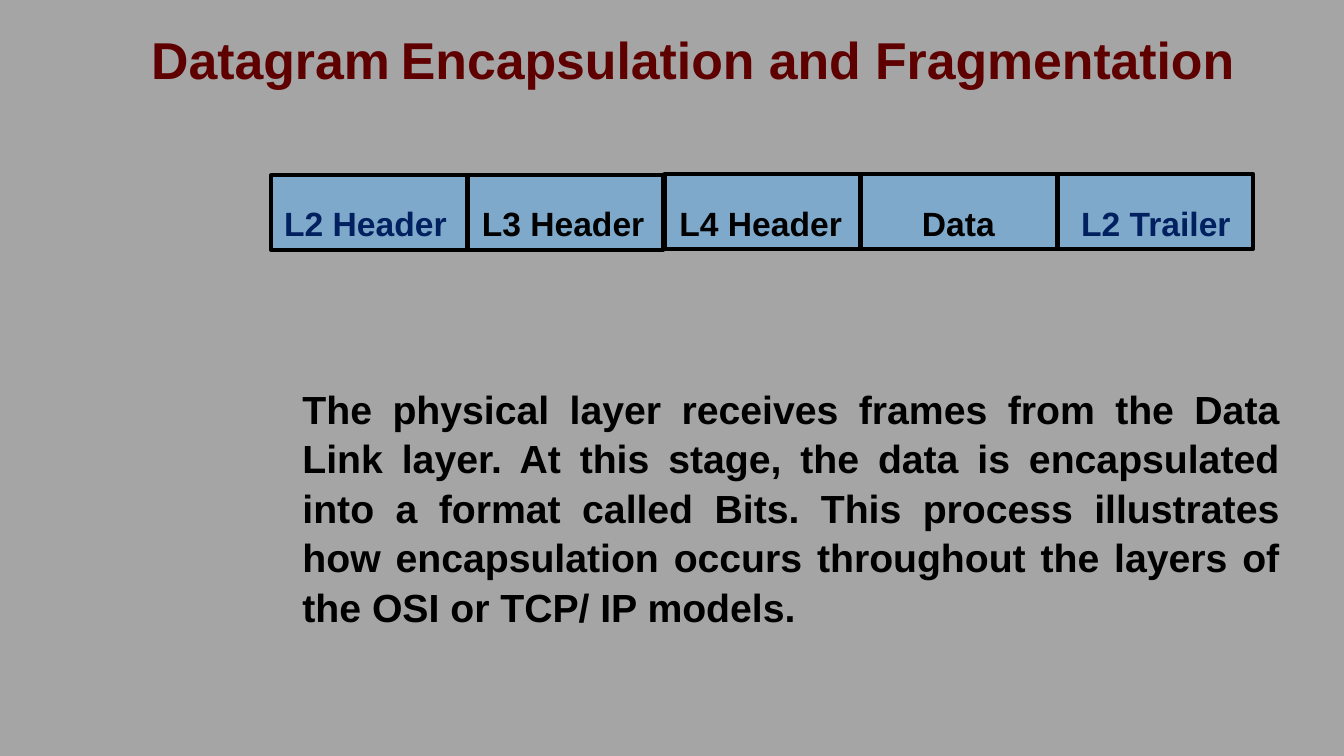
from pptx import Presentation
from pptx.dml.color import RGBColor
from pptx.enum.shapes import MSO_SHAPE
from pptx.enum.text import MSO_ANCHOR, MSO_AUTO_SIZE, PP_ALIGN
from pptx.oxml.ns import qn
from pptx.util import Pt

RECTANGLE = MSO_SHAPE.RECTANGLE
TOP, BOTTOM = MSO_ANCHOR.TOP, MSO_ANCHOR.BOTTOM
NO_FIT = MSO_AUTO_SIZE.NONE
LEFT, CENTER, JUSTIFY = PP_ALIGN.LEFT, PP_ALIGN.CENTER, PP_ALIGN.JUSTIFY

EMU_PER_PX = 9144  # 100 px to the inch
COLORS = {
    "background": "A5A5A5",
    "title": "5F0000",
    "title_gap": "3F3F3F",
    "field": "7EA9CA",
    "black": "000000",
    "link_layer": "002060",
}
FRAME_FIELDS = [
    ("L2 Header", "link_layer"),
    ("L3 Header", "black"),
    ("L4 Header", "black"),
    ("Data", "black"),
    ("L2 Trailer", "link_layer"),
]
EXPLANATION = (
    "The physical layer receives frames from the Data Link layer. "
    "At this stage, the data is encapsulated into a format called Bits. "
    "This process illustrates how encapsulation occurs throughout the "
    "layers of the OSI or TCP/ IP models."
)


def px(length):
    return length * EMU_PER_PX


def rgb(name):
    return RGBColor.from_string(COLORS[name])


def place(shape, left, top, width, height):
    shape.left, shape.top = px(left), px(top)
    shape.width, shape.height = px(width), px(height)


def add_text(paragraph, text, size=24, color="black", bold=True, font="Arial"):
    run = paragraph.add_run()
    run.text = text
    run.font.name = font
    run.font.size = Pt(size)
    run.font.bold = bold
    run.font.color.rgb = rgb(color)


def first_paragraph(shape, align, anchor=TOP, spacing=1.0, wrap=True):
    frame = shape.text_frame
    frame.auto_size = NO_FIT
    frame.word_wrap = wrap
    frame.vertical_anchor = anchor
    paragraph = frame.paragraphs[0]
    paragraph.alignment = align
    paragraph.line_spacing = spacing
    paragraph.space_before = Pt(0)
    return paragraph


def fill_title(title):
    place(title, 140, 0, 1181, 94)
    heading = first_paragraph(title, LEFT, BOTTOM, spacing=0.85)
    add_text(heading, "Datagram", size=37, color="title")
    add_text(heading, " ", size=31.4, color="title_gap", bold=False,
             font="Times New Roman")
    add_text(heading, "Encapsulation and Fragmentation", size=37, color="title")


def fill_explanation(body):
    place(body, 290, 375, 989, 246)
    explanation = first_paragraph(body, JUSTIFY, spacing=1.05)
    # Plain paragraph: no bullet and no hanging indent
    properties = explanation._p.get_or_add_pPr()
    properties.set("marL", "0")
    properties.set("indent", "0")
    properties.append(properties.makeelement(qn("a:buNone"), {}))
    add_text(explanation, EXPLANATION, size=28)


def add_field(slide, left, top):
    field = slide.shapes.add_shape(RECTANGLE, px(left), px(top), px(194), px(74))
    field.shadow.inherit = False
    field.fill.solid()
    field.fill.fore_color.rgb = rgb("field")
    field.line.color.rgb = rgb("black")
    field.line.width = Pt(3)


def add_label(slide, center, text, color):
    width = 183
    label = slide.shapes.add_textbox(
        px(center - width // 2), px(196), px(width), px(26))
    add_text(first_paragraph(label, CENTER, wrap=False), text, color=color)


def main():
    deck = Presentation()
    deck.slide_width, deck.slide_height = px(1333), px(750)
    slide = deck.slides.add_slide(deck.slide_layouts[1])
    slide.background.fill.solid()
    slide.background.fill.fore_color.rgb = rgb("background")

    # Title and explanation
    fill_title(slide.shapes.title)
    fill_explanation(slide.placeholders[1])

    # Frame: adjoining fields, then their labels
    for index in range(len(FRAME_FIELDS)):
        add_field(slide, left=269 + 195 * index, top=174 if index < 2 else 173)
    for index, (text, color) in enumerate(FRAME_FIELDS):
        add_label(slide, 362 + 196 * index, text, color)

    deck.save("out.pptx")


if __name__ == "__main__":
    main()
